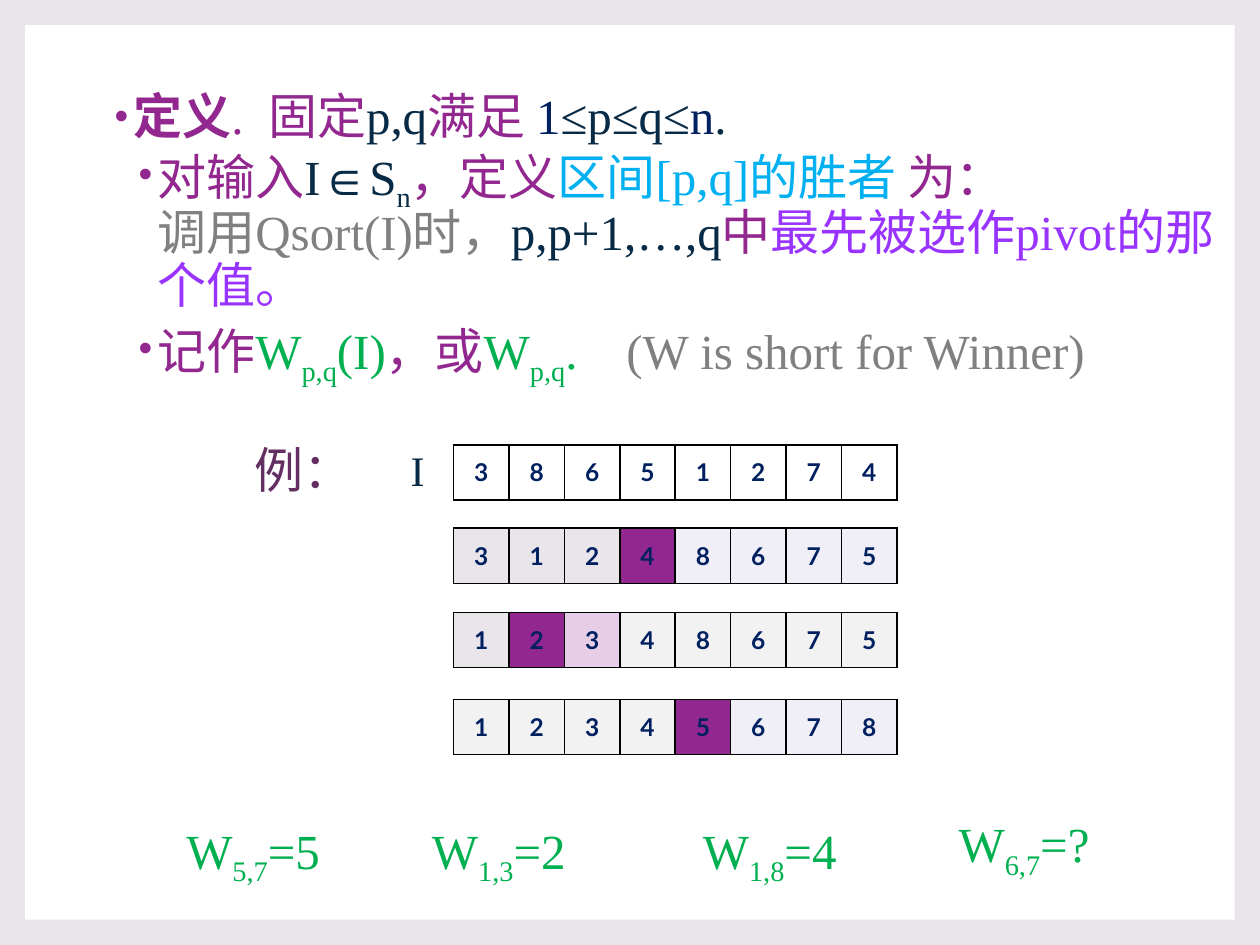
from lxml import etree
from pptx import Presentation
from pptx.dml.color import RGBColor
from pptx.enum.shapes import MSO_SHAPE
from pptx.enum.text import MSO_ANCHOR, MSO_AUTO_SIZE, PP_ALIGN
from pptx.oxml.ns import qn
from pptx.util import Emu, Pt

RECTANGLE = MSO_SHAPE.RECTANGLE
TOP, MIDDLE = MSO_ANCHOR.TOP, MSO_ANCHOR.MIDDLE
CENTER = PP_ALIGN.CENTER
NO_FIT = MSO_AUTO_SIZE.NONE

SERIF, SANS = "Times New Roman", "Lato"
FRAME, WHITE, BLACK = "EAE5EB", "FFFFFF", "000000"
PURPLE, INK, NAVY, GREEN = "92278F", "072B46", "002060", "00B050"
GRAY, SKY, VIOLET, PLUM = "808080", "00B0F0", "9933FF", "632E62"
PINK, PALE, LAVENDER = "E8CDE7", "F2F2F2", "F0EFF8"

# Pairs of text and colour; parts between underscores are subscripts.
DEFINITION = [
    (0, [(".  固定", PURPLE), ("p,q", INK), ("满足 ", PURPLE), ("1", NAVY),
         ("≤p≤q≤", INK), ("n", NAVY), (".", INK)]),
    (1, [("对输入", PURPLE), ("I∈S_n_", INK), ("，定义", PURPLE),
         ("区间[p,q]的胜者 ", SKY), ("为：\n", PURPLE),
         ("调用Qsort(I)时，", GRAY), ("p,p+1,…,q", INK), ("中", PURPLE),
         ("最先被选作pivot的那个值。", VIOLET)]),
    (1, [("记作", PURPLE), ("W_p,q_(I)", GREEN), ("，或", PURPLE),
         ("W_p,q_.    ", GREEN), ("(W is short for Winner)", GRAY)]),
]

# Top edge, values and cell fills of each quicksort step.
STEPS = [
    (353, "38651274", [WHITE] * 8),
    (419, "31248675", [FRAME] * 3 + [PURPLE] + [LAVENDER] * 4),
    (486, "12348675", [FRAME, PURPLE, PINK] + [PALE] * 5),
    (555, "12345678", [PALE] * 4 + [PURPLE] + [LAVENDER] * 3),
]
CELL = 44

LABELS = [
    (316, 348, 31, "I", 24, SERIF, INK),
    (192, 344, 103, "例：", 28, SANS, PLUM),
    (138, 646, 141, "W_5,7_=5", 28, SERIF, GREEN),
    (333, 646, 148, "W_1,3_=2", 28, SERIF, GREEN),
    (548, 646, 137, "W_1,8_=4", 28, SERIF, GREEN),
    (751, 641, 131, "W_6,7_=?", 28, SERIF, GREEN),
]


def px(length):
    """Hundred px to the inch."""
    return Emu(length * 9144)


def rgb(color):
    return RGBColor.from_string(color)


def style_font(font, size, face, color, bold=False):
    font.size, font.name, font.bold = Pt(size), face, bold
    font.color.rgb = rgb(color)


def add_text(paragraph, text, size, face, color, bold=False):
    """Add text in which every second part split by underscores is a subscript."""
    for index, part in enumerate(text.split("_")):
        if not part:
            continue
        run = paragraph.add_run()
        run.text = part.rstrip("\n")
        style_font(run.font, size, face, color, bold)
        if index % 2:
            run.font._element.set("baseline", "-25000")
        if part.endswith("\n"):
            paragraph.add_line_break()


def add_bullet(paragraph, indent):
    properties = paragraph._p.get_or_add_pPr()
    properties.set("marL", str(px(indent)))
    properties.set("indent", str(px(-15)))
    bullet_color = etree.SubElement(properties, qn("a:buClr"))
    etree.SubElement(bullet_color, qn("a:srgbClr"), val=PURPLE)
    etree.SubElement(properties, qn("a:buSzPct"), val="80000")
    etree.SubElement(properties, qn("a:buFont"), typeface="Arial")
    etree.SubElement(properties, qn("a:buChar"), char="•")


def add_panel(slide):
    panel = slide.shapes.add_shape(RECTANGLE, px(20), px(20), px(960), px(710))
    panel.shadow.inherit = False
    panel.fill.solid()
    panel.fill.fore_color.rgb = rgb(WHITE)
    panel.line.fill.background()
    slide.shapes._spTree.insert(2, panel._element)


def fill_definition(body):
    body.left, body.top, body.width, body.height = px(77), px(68), px(902), px(382)
    frame = body.text_frame
    frame.auto_size, frame.vertical_anchor = NO_FIT, TOP
    for index, (level, parts) in enumerate(DEFINITION):
        paragraph = frame.add_paragraph() if index else frame.paragraphs[0]
        paragraph.level = level
        add_bullet(paragraph, 38 if level else 19)
        paragraph.line_spacing = 0.9
        paragraph.space_before = Pt(1.5 if level else 0)
        paragraph.space_after = Pt(3 if level else 0)
        if index == 0:
            add_text(paragraph, "定义", 28, SERIF, PURPLE, bold=True)
        for text, color in parts:
            add_text(paragraph, text, 28, SERIF, color)


def add_borders(cell):
    properties = cell._tc.get_or_add_tcPr()
    for side in ("a:lnL", "a:lnR", "a:lnT", "a:lnB"):
        border = etree.SubElement(properties, qn(side), w=str(Pt(1)))
        fill = etree.SubElement(border, qn("a:solidFill"))
        etree.SubElement(fill, qn("a:srgbClr"), val=BLACK)


def add_step(slide, top, values, fills):
    table = slide.shapes.add_table(
        1, len(values), px(360), px(top), px(CELL * len(values)), px(CELL)).table
    for cell, value, color in zip(table.iter_cells(), values, fills):
        add_borders(cell)
        cell.fill.solid()
        cell.fill.fore_color.rgb = rgb(color)
        cell.vertical_anchor = MIDDLE
        cell.margin_left = cell.margin_right = px(8)
        cell.margin_top = cell.margin_bottom = px(4)
        cell.text_frame.text = value
        paragraph = cell.text_frame.paragraphs[0]
        paragraph.alignment = CENTER
        style_font(paragraph.runs[0].font, 14, SANS, NAVY, bold=True)


def add_label(slide, left, top, width, text, size, face, color):
    height = 57 if size == 28 else 50
    frame = slide.shapes.add_textbox(
        px(left), px(top), px(width), px(height)).text_frame
    frame.word_wrap = len(text) > 1
    add_text(frame.paragraphs[0], text, size, face, color)


def main():
    presentation = Presentation()
    presentation.slide_width, presentation.slide_height = px(1000), px(750)
    slide = presentation.slides.add_slide(presentation.slide_layouts[1])
    slide.background.fill.solid()
    slide.background.fill.fore_color.rgb = rgb(FRAME)
    title = slide.shapes.title._element
    title.getparent().remove(title)
    add_panel(slide)
    fill_definition(slide.placeholders[1])
    for step in STEPS:
        add_step(slide, *step)
    for label in LABELS:
        add_label(slide, *label)
    presentation.save("out.pptx")


if __name__ == "__main__":
    main()
